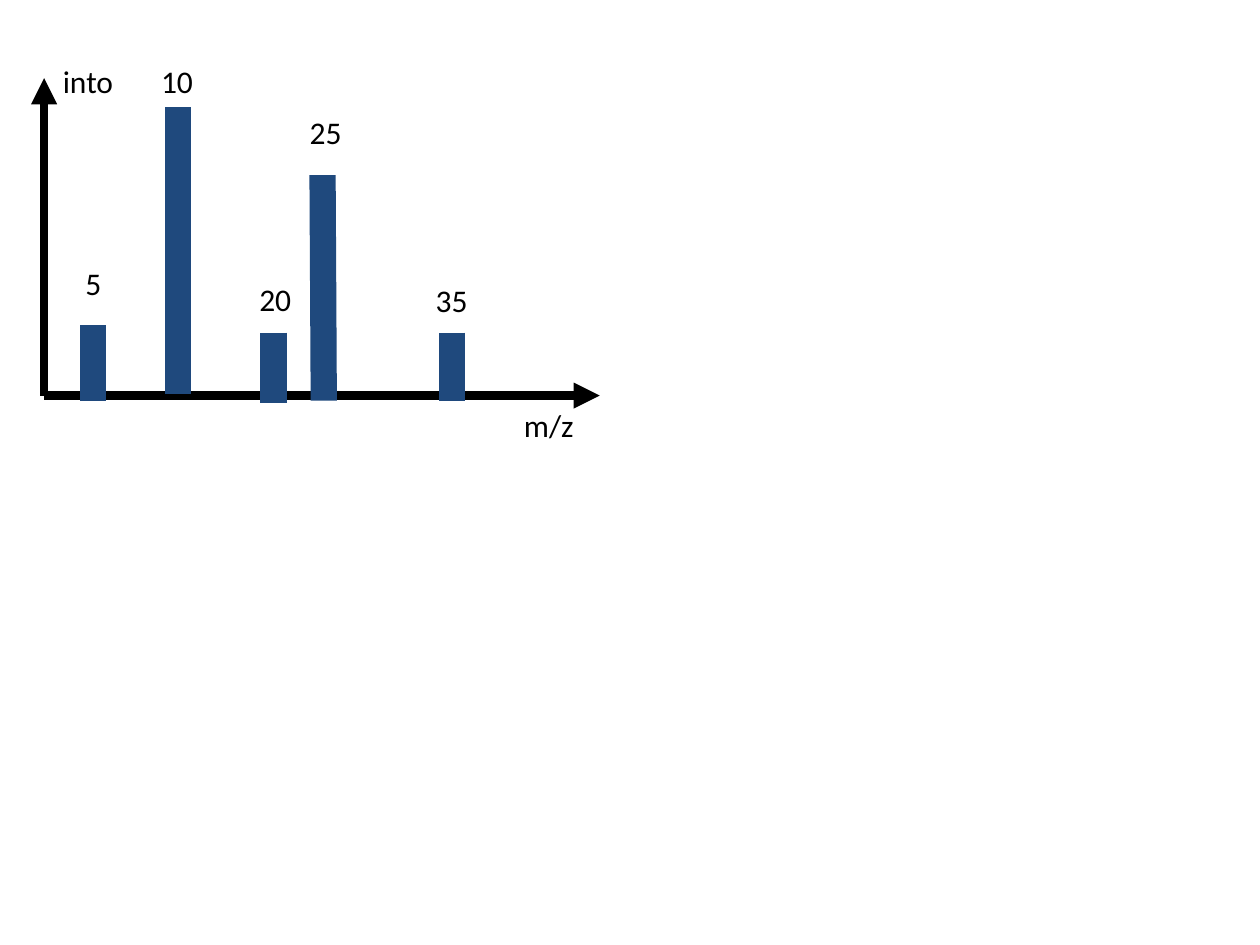
from dataclasses import dataclass

from pptx import Presentation
from pptx.dml.color import RGBColor
from pptx.enum.shapes import MSO_CONNECTOR
from pptx.enum.text import MSO_AUTO_SIZE
from pptx.oxml.ns import qn
from pptx.util import Inches, Pt
from lxml import etree

STRAIGHT = MSO_CONNECTOR.STRAIGHT
FIT_SHAPE = MSO_AUTO_SIZE.SHAPE_TO_FIT_TEXT
BLANK_LAYOUT = 6


@dataclass(frozen=True)
class Theme:
    ink: RGBColor = RGBColor(0x00, 0x00, 0x00)
    peak: RGBColor = RGBColor(0x1F, 0x49, 0x7D)
    font: str = "Calibri"
    text_size: int = 18
    axis_width: int = 5
    peak_width: int = 15


THEME = Theme()
ORIGIN = (0.35, 3.14)
LABEL_HEIGHT = 0.4

# Peaks: start and end of the bar
PEAKS = [
    ((0.74, 2.58), (0.74, 3.18)),
    ((1.41, 0.85), (1.41, 3.13)),
    ((2.17, 2.64), (2.17, 3.2)),
    ((2.56, 1.39), (2.57, 3.18)),
    ((3.59, 2.64), (3.59, 3.18)),
]

# Labels: text, left, top, width
LABELS = [
    ("into", 0.4, 0.44, 0.61),
    ("m/z", 4.06, 3.17, 0.6),
    ("5", 0.58, 2.05, 0.33),
    ("10", 1.18, 0.44, 0.46),
    ("20", 1.96, 2.17, 0.46),
    ("25", 2.36, 0.85, 0.46),
    ("35", 3.36, 2.18, 0.46),
]


def add_line(shapes, start, end, color, width):
    points = [Inches(v) for v in (*start, *end)]
    line = shapes.add_connector(STRAIGHT, *points)
    line.line.color.rgb = color
    line.line.width = Pt(width)
    etree.SubElement(line._element.spPr, qn("a:effectLst"))
    return line


def add_axis(shapes, end):
    axis = add_line(shapes, ORIGIN, end, THEME.ink, THEME.axis_width)
    ln = axis.line._get_or_add_ln()
    etree.SubElement(ln, qn("a:tailEnd"), type="triangle")


def add_label(shapes, text, left, top, width):
    sp = shapes.add_textbox(Inches(left), Inches(top),
                            Inches(width), Inches(LABEL_HEIGHT))
    tf = sp.text_frame
    tf.text = text
    tf.word_wrap = False
    tf.auto_size = FIT_SHAPE
    font = tf.paragraphs[0].runs[0].font
    font.name = THEME.font
    font.size = Pt(THEME.text_size)
    font.color.rgb = THEME.ink


def main():
    prs = Presentation()
    prs.slide_width, prs.slide_height = Inches(10), Inches(7.5)
    slide = prs.slides.add_slide(prs.slide_layouts[BLANK_LAYOUT])
    shapes = slide.shapes.add_group_shape().shapes

    # Axes
    add_axis(shapes, (4.76, ORIGIN[1]))
    add_axis(shapes, (ORIGIN[0], 0.62))

    # Spectrum peaks
    for start, end in PEAKS:
        add_line(shapes, start, end, THEME.peak, THEME.peak_width)

    # Axis and peak labels
    for label in LABELS:
        add_label(shapes, *label)

    prs.save("out.pptx")


if __name__ == "__main__":
    main()
